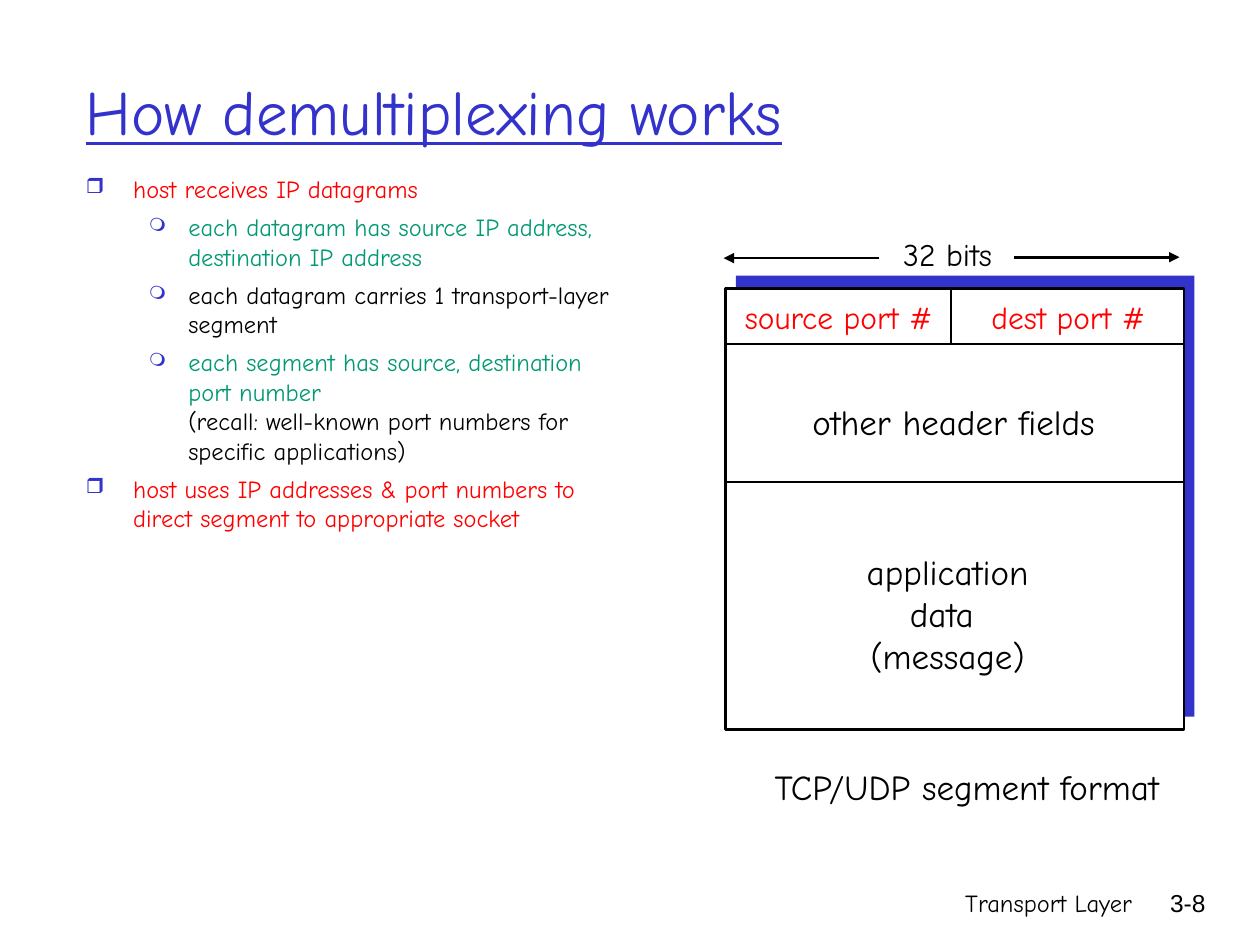
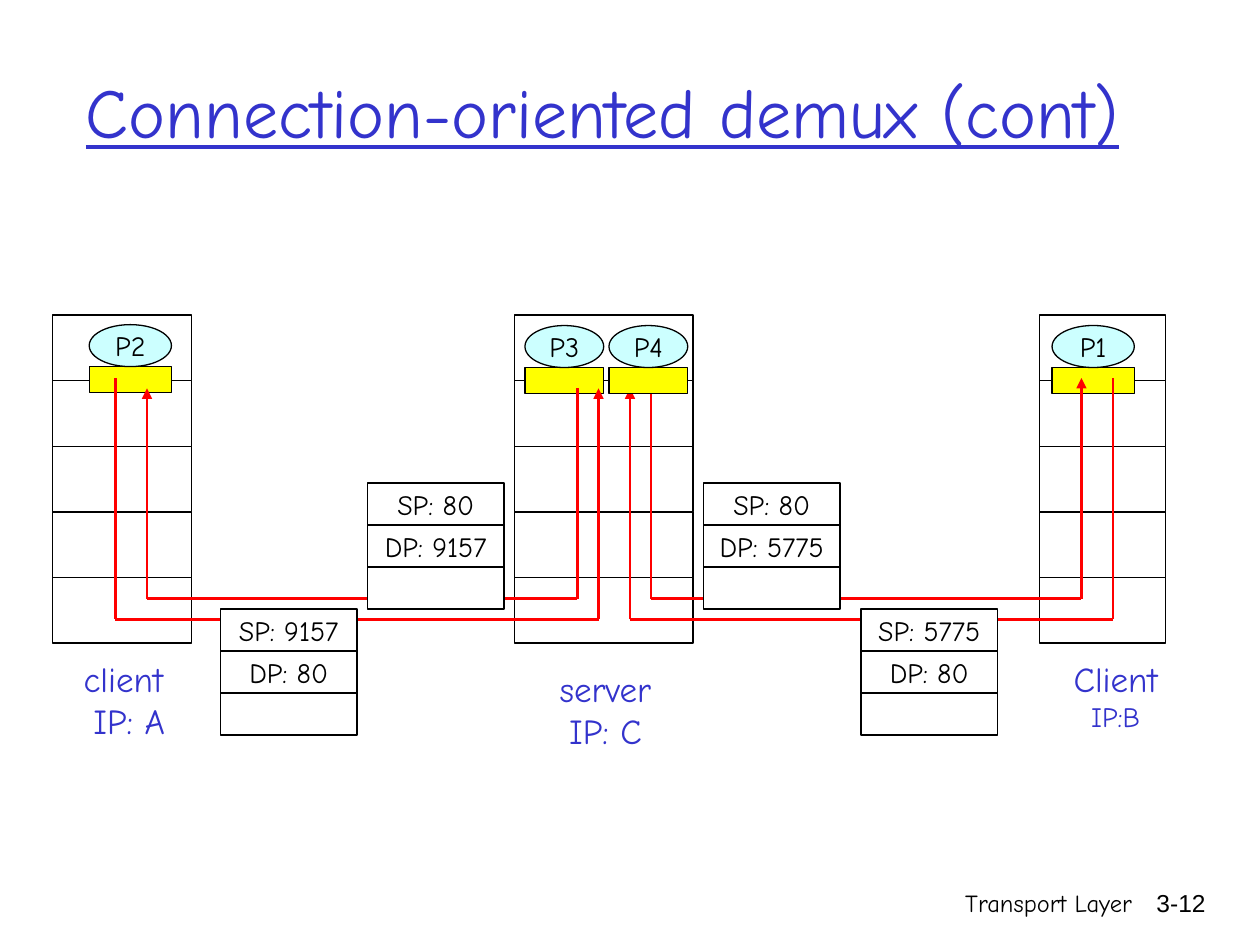
from dataclasses import dataclass
from typing import NamedTuple

from lxml import etree
from pptx import Presentation
from pptx.dml.color import RGBColor
from pptx.enum.shapes import MSO_CONNECTOR, MSO_SHAPE
from pptx.enum.text import MSO_ANCHOR, MSO_AUTO_SIZE, PP_ALIGN
from pptx.oxml.ns import qn
from pptx.util import Pt

RECT, OVAL = MSO_SHAPE.RECTANGLE, MSO_SHAPE.OVAL
STRAIGHT = MSO_CONNECTOR.STRAIGHT
LEFT, CENTER, RIGHT = PP_ALIGN.LEFT, PP_ALIGN.CENTER, PP_ALIGN.RIGHT
TOP, MIDDLE = MSO_ANCHOR.TOP, MSO_ANCHOR.MIDDLE
GROW = MSO_AUTO_SIZE.SHAPE_TO_FIT_TEXT


@dataclass(frozen=True)
class Theme:
    font: str = "Comic Neue"
    digits: str = "Arial"
    blue: str = "3333CC"
    red: str = "FF0000"
    green: str = "009973"
    black: str = "000000"
    white: str = "FFFFFF"
    yellow: str = "FFFF00"
    cyan: str = "CCFFFF"
    body: int = 14
    small: int = 16
    label: int = 18
    large: int = 20
    thin: float = 0.75
    thick: float = 1.5


T = Theme()


class Box(NamedTuple):
    x: float
    y: float
    w: float
    h: float


class Line(NamedTuple):
    """One paragraph; tail follows a line break in black."""
    text: str
    color: str | None = None
    size: int | None = None
    level: int | None = None
    tail: str = ""


class Label(NamedTuple):
    box: Box
    lines: tuple
    size: int
    color: str = T.black


class Tower(NamedTuple):
    x: float
    w: float


class Process(NamedTuple):
    name: str
    x: float
    y: float
    w: float


class Wire(NamedTuple):
    """Down from the start, across at the base, up to the arrow."""
    start: tuple
    base: float
    end: tuple


class Packet(NamedTuple):
    x: float
    y: float
    source: str
    dest: str


class Bullet(NamedTuple):
    char: str
    margin: float
    hang: float
    percent: int


BULLETS = (Bullet("❒", 27, 27, 85), Bullet("❍", 58.5, 22.5, 75))


# Drawing tools
def rgb(color: str) -> RGBColor:
    return RGBColor.from_string(color)


def points(*values: float) -> tuple:
    return tuple(Pt(value) for value in values)


def mark(para, level: int) -> None:
    bullet = BULLETS[level]
    props = para._p.get_or_add_pPr()
    props.set("marL", str(Pt(bullet.margin)))
    props.set("indent", str(-Pt(bullet.hang)))
    tint = etree.SubElement(props, qn("a:buClr"))
    etree.SubElement(tint, qn("a:srgbClr"), val=T.blue)
    etree.SubElement(props, qn("a:buSzPct"), val=str(bullet.percent * 1000))
    etree.SubElement(props, qn("a:buChar"), char=bullet.char)
    para.level = level


def write(frame, lines: tuple, *, size: int, color: str = T.black,
          font: str = T.font, align=CENTER, anchor=TOP, wrap: bool = False,
          under: bool = False, gap: float = 0) -> None:
    frame.word_wrap = wrap
    frame.vertical_anchor = anchor
    for index, line in enumerate(lines):
        para = frame.add_paragraph() if index else frame.paragraphs[0]
        if line.level is not None:
            mark(para, line.level)
        para.alignment = align
        if index and gap:
            para.space_before = Pt(gap)
        para.font.size = Pt(line.size or size)
        runs = [(line.text, line.color or color)]
        if line.tail:
            runs.append((line.tail, T.black))
        for order, (words, tint) in enumerate(runs):
            if order:
                para.add_line_break()
            run = para.add_run()
            run.text = words
            run.font.name = font
            run.font.size = Pt(line.size or size)
            run.font.underline = under
            run.font.color.rgb = rgb(tint)


def text(slide, box: Box, *lines: Line, **style):
    frame = slide.shapes.add_textbox(*points(*box)).text_frame
    write(frame, lines, **style)
    return frame


def shape(slide, kind, box: Box, fill: str, *, edge: float = T.thin,
          words: str = "") -> None:
    item = slide.shapes.add_shape(kind, *points(*box))
    item.shadow.inherit = False
    item.fill.solid()
    item.fill.fore_color.rgb = rgb(fill)
    if edge:
        item.line.color.rgb = rgb(T.black)
        item.line.width = Pt(edge)
    else:
        item.line.fill.background()
    if words:
        write(item.text_frame, (Line(words),), size=T.small, anchor=MIDDLE)


def stroke(slide, start: tuple, end: tuple, color: str = T.black,
           arrow: bool = False) -> None:
    item = slide.shapes.add_connector(STRAIGHT, *points(*start, *end))
    item.line.color.rgb = rgb(color)
    item.line.width = Pt(T.thick)
    if arrow:
        etree.SubElement(item.line._get_or_add_ln(), qn("a:tailEnd"),
                         type="triangle")
    etree.SubElement(item._element.spPr, qn("a:effectLst"))


def label(slide, item: Label) -> None:
    frame = text(slide, item.box, *item.lines, size=item.size,
                 color=item.color)
    frame.auto_size = GROW


def page(deck, title: str, size: int, number: str):
    slide = deck.slides.add_slide(deck.slide_layouts[6])
    text(slide, Box(426, 504, 228, 36), Line("Transport Layer"),
         size=T.body, align=RIGHT, wrap=True)
    text(slide, Box(643, 504, 53, 36), Line(number), size=T.body,
         font=T.digits, align=RIGHT, wrap=True)
    text(slide, Box(42, 18, 612, 90), Line(title), size=size, color=T.blue,
         align=LEFT, anchor=MIDDLE, wrap=True, under=True)
    return slide


# Slide parts
def tower(slide, item: Tower) -> None:
    step = 37.5
    for row in range(5):
        shape(slide, RECT, Box(item.x, 180 + row * step, item.w, step),
              T.white)


def process(slide, item: Process) -> None:
    shape(slide, RECT, Box(item.x, item.y + 24, item.w, 15), T.yellow)
    shape(slide, OVAL, Box(item.x, item.y, item.w, 24), T.cyan,
          words=item.name)


def wire(slide, item: Wire) -> None:
    left, right = (item.start[0], item.base), (item.end[0], item.base)
    stroke(slide, item.start, left, T.red)
    stroke(slide, left, right, T.red)
    stroke(slide, right, item.end, T.red, arrow=True)


def packet(slide, item: Packet) -> None:
    step = 24
    rows = (f"SP: {item.source}", f"DP: {item.dest}", "")
    for row, words in enumerate(rows):
        shape(slide, RECT, Box(item.x, item.y + row * step, 78, step),
              T.white, words=words)


# Slide content
POINTS = (
    Line("host receives IP datagrams", T.red, level=0),
    Line("each datagram has source IP address, destination IP address",
         T.green, level=1),
    Line("each datagram carries 1 transport-layer segment", level=1),
    Line("each segment has source, destination port number", T.green, level=1,
         tail="(recall: well-known port numbers for specific applications)"),
    Line("host uses IP addresses & port numbers to direct segment to "
         "appropriate socket", T.red, level=0),
)
FIELDS = (
    Label(Box(417.5, 167, 123.5, 29), (Line("source port #"),), T.label, T.red),
    Label(Box(558.5, 167, 104, 29), (Line("dest port #"),), T.label, T.red),
    Label(Box(507, 131, 69, 29), (Line("32 bits"),), T.label),
    Label(Box(486.5, 311, 110, 79),
          (Line("application"), Line("data "), Line("(message)")), T.large),
    Label(Box(456, 225.5, 178, 32), (Line("other header fields"),), T.large),
    Label(Box(433, 434, 239, 32), (Line("TCP/UDP segment format"),), T.large),
)
TOWERS = (Tower(30, 79.5), Tower(594, 72), Tower(294, 102))
BACK = (Process("P2", 51, 185.5, 47), Process("P1", 601.2, 186, 47),
        Process("P3", 300, 186, 45))
FRONT = Process("P4", 348, 186, 45)
WIRES = (
    Wire((66, 216), 354, (342, 222)),
    Wire((330, 222), 342, (84, 222)),
    Wire((636, 216), 354, (360, 222)),
    Wire((372, 222), 342, (618, 216)),
)
PACKETS = (Packet(210, 276, "80", "9157"), Packet(126, 348, "9157", "80"),
           Packet(402, 276, "80", "5775"), Packet(492, 348, "5775", "80"))
HOSTS = (
    Label(Box(605, 372, 65, 50), (Line("Client"), Line("IP:B", size=T.small)),
          T.large, T.blue),
    Label(Box(38.5, 372, 64, 55), (Line("client"), Line(" IP: A")),
          T.large, T.blue),
    Label(Box(311.5, 378, 69, 55), (Line("server"), Line("IP: C")),
          T.large, T.blue),
)


def segment(deck) -> None:
    slide = page(deck, "How demultiplexing works", 36, "3-8")
    text(slide, Box(42, 96, 324, 220), *POINTS, size=T.body, align=LEFT,
         wrap=True, gap=5)
    # Segment frame and its dividers
    left, top, wide, high = frame = Box(414.5, 165, 262, 252)
    shape(slide, RECT, Box(420.5, 157.5, wide, high), T.blue, edge=0)
    shape(slide, RECT, frame, T.white, edge=T.thick)
    for y in (196.5, 275.5):
        stroke(slide, (left, y), (left + wide, y))
    stroke(slide, (543.5, 196), (543.5, top))
    # Width arrows
    stroke(slide, (579.5, 147), (674, 147), arrow=True)
    stroke(slide, (502.5, 147.5), (413.5, 147.5), arrow=True)
    for item in FIELDS:
        label(slide, item)


def demux(deck) -> None:
    slide = page(deck, "Connection-oriented demux (cont)", 40, "3-12")
    parts = ((tower, TOWERS), (process, BACK), (wire, WIRES),
             (packet, PACKETS), (process, (FRONT,)), (label, HOSTS))
    for draw, items in parts:
        for item in items:
            draw(slide, item)


def main() -> None:
    deck = Presentation()
    deck.slide_width, deck.slide_height = points(720, 540)
    segment(deck)
    demux(deck)
    deck.save("out.pptx")


if __name__ == "__main__":
    main()
